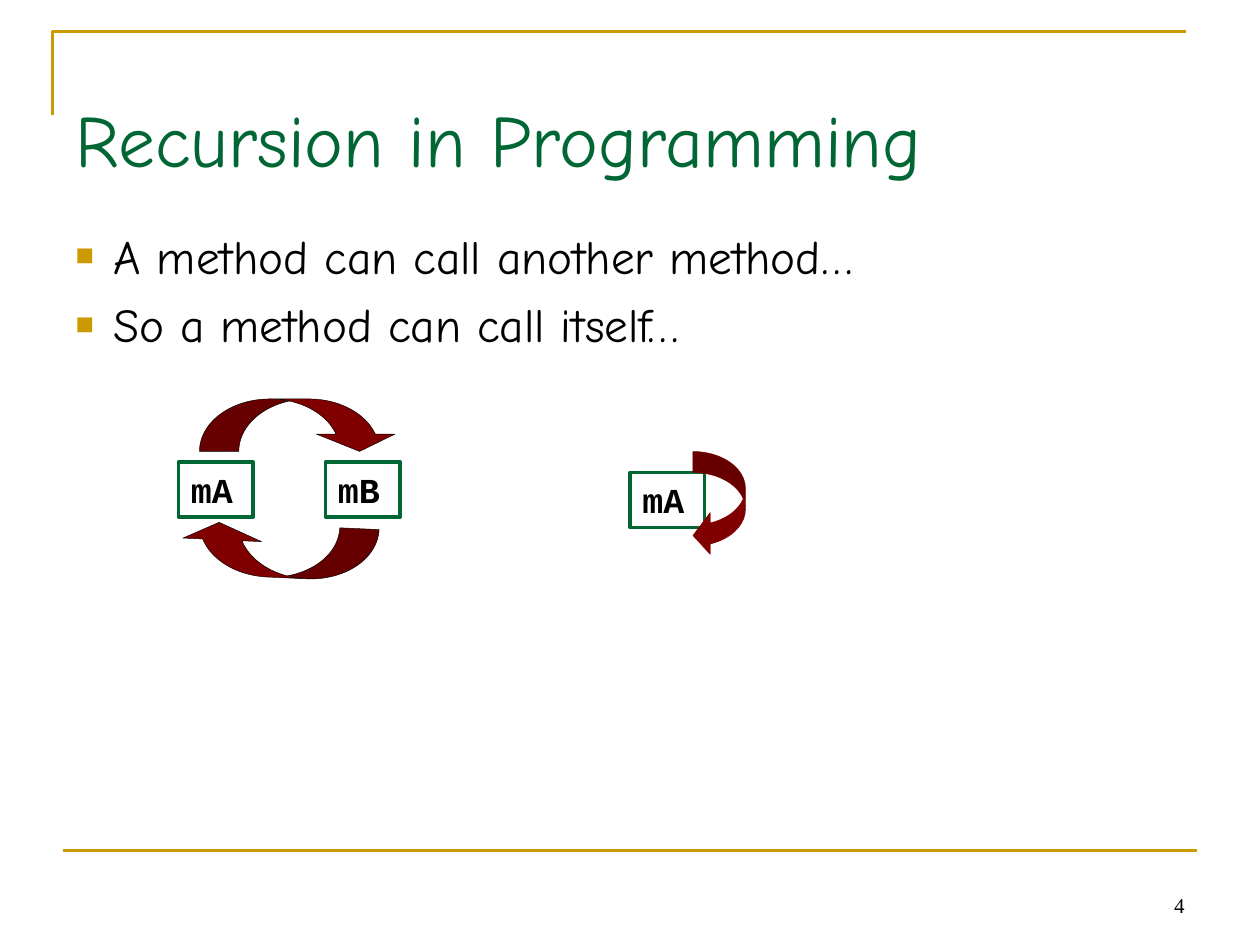
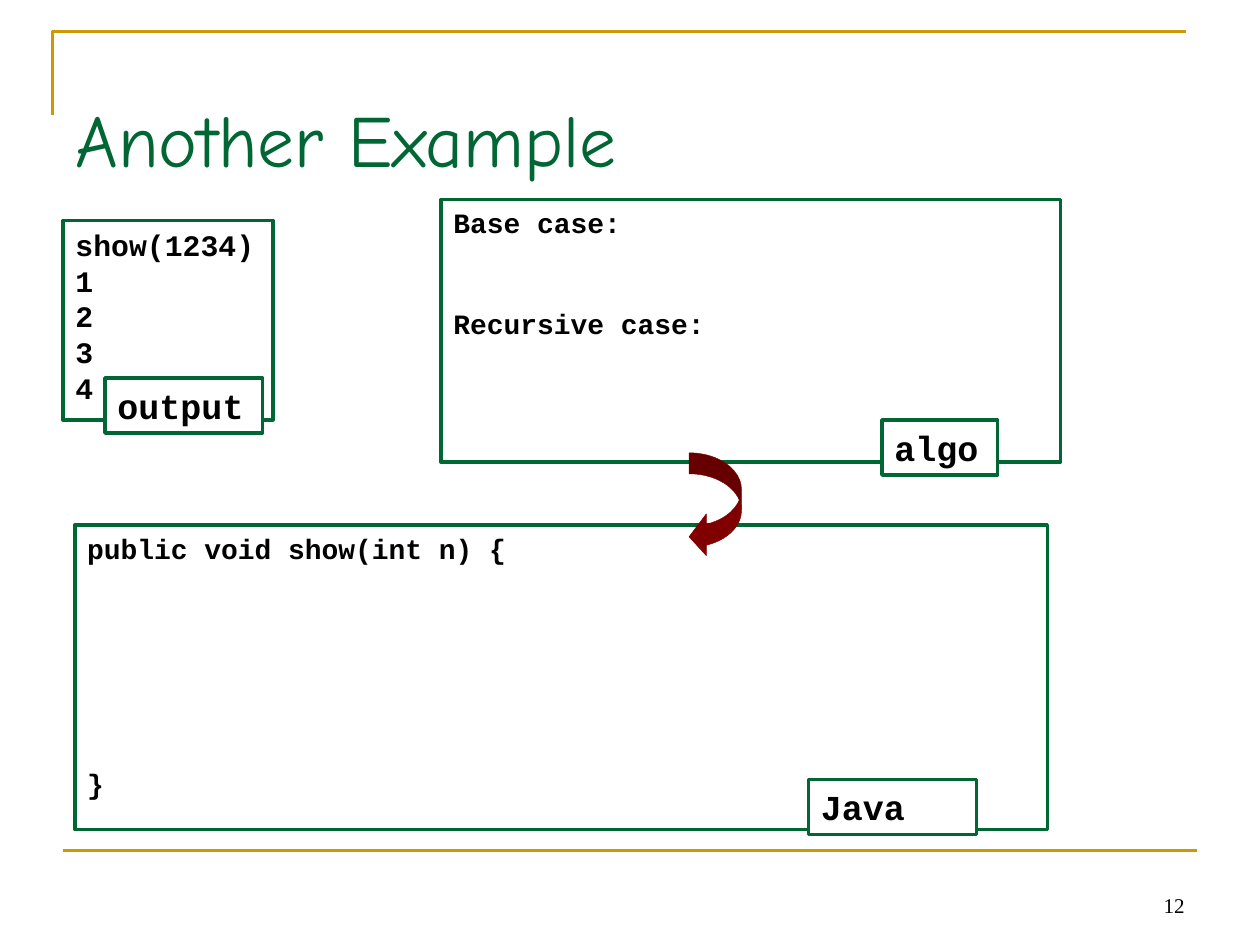
from dataclasses import dataclass

from pptx import Presentation
from pptx.dml.color import RGBColor
from pptx.enum.shapes import MSO_CONNECTOR, MSO_SHAPE
from pptx.enum.text import MSO_ANCHOR, MSO_AUTO_SIZE, PP_ALIGN
from pptx.oxml.ns import qn
from pptx.util import Pt
from lxml.etree import SubElement

PX = 9525


@dataclass(frozen=True)
class Theme:
    """Colours, fonts and type sizes of the deck."""

    gold: str = "CC9900"
    green: str = "006633"
    maroon: str = "800000"
    black: str = "000000"
    white: str = "FFFFFF"
    heading_font: str = "Comic Neue"
    code_font: str = "Courier New"
    number_font: str = "Times New Roman"
    title_size: int = 42
    body_size: int = 27
    tag_size: int = 20
    output_size: int = 17
    code_size: int = 16
    number_size: int = 12
    leading: float = 1.2
    rule_width: float = 1.5
    box_width: float = 2
    arrow_width: float = 0.25


THEME = Theme()
TAG_HEIGHT = 42


def to_emu(box):
    """Turn lengths in px into EMU."""
    return [length * PX for length in box]


def style_runs(paragraph, font_name, size, color=THEME.black, bold=False):
    """Format every run of a paragraph."""
    for run in paragraph.runs:
        run.font.name = font_name
        run.font.size = Pt(size)
        run.font.bold = bold
        run.font.color.rgb = RGBColor.from_string(color)


def style_line(line, color, width):
    """Give a line its colour and its width in points."""
    line.color.rgb = RGBColor.from_string(color)
    line.width = Pt(width)


def move_placeholder(placeholder, box, anchor):
    """Place a placeholder and fix how its text sits."""
    placeholder.left, placeholder.top, placeholder.width, placeholder.height = to_emu(box)
    placeholder.text_frame.auto_size = MSO_AUTO_SIZE.NONE
    placeholder.text_frame.vertical_anchor = anchor


def add_frame_lines(slide, master):
    """Draw the corner line and the bottom rule and put them on the master."""
    builder = slide.shapes.build_freeform(40, 88, scale=PX)
    builder.add_line_segments([(40, 24), (904, 24)], close=False)
    corner = builder.convert_to_shape()
    corner.fill.background()
    corner.shadow.inherit = False
    rule = slide.shapes.add_connector(MSO_CONNECTOR.STRAIGHT, *to_emu((48, 648, 912, 648)))
    SubElement(rule.element.spPr, qn("a:effectLst"))
    for shape_id, shape in enumerate((corner, rule), start=101):
        style_line(shape.line, THEME.gold, THEME.rule_width)
        next(shape.element.iter(qn("p:cNvPr"))).set("id", str(shape_id))
        master.shapes.element.append(shape.element)


def add_title(slide, text):
    """Fill the title placeholder."""
    title = slide.shapes.title
    move_placeholder(title, (48, 29, 864, 120), MSO_ANCHOR.BOTTOM)
    title.text_frame.margin_bottom = 10 * PX
    title.text_frame.text = text
    paragraph = title.text_frame.paragraphs[0]
    paragraph.alignment = PP_ALIGN.LEFT
    style_runs(paragraph, THEME.heading_font, THEME.title_size, THEME.green)


def add_page_number(slide, number):
    """Write the page number at the bottom right."""
    text_frame = slide.shapes.add_textbox(*to_emu((688, 656, 224, 48))).text_frame
    text_frame.word_wrap = True
    text_frame.vertical_anchor = MSO_ANCHOR.BOTTOM
    text_frame.text = str(number)
    paragraph = text_frame.paragraphs[0]
    paragraph.alignment = PP_ALIGN.RIGHT
    style_runs(paragraph, THEME.number_font, THEME.number_size)


def set_bullet(paragraph, indent):
    """Give a paragraph a hanging square bullet."""
    properties = paragraph._p.get_or_add_pPr()
    properties.set("marL", str(indent * PX))
    properties.set("indent", str(-indent * PX))
    color = SubElement(properties, qn("a:buClr"))
    SubElement(color, qn("a:srgbClr"), val=THEME.gold)
    SubElement(properties, qn("a:buSzPct"), val="65000")
    SubElement(properties, qn("a:buFont"), typeface="Arial")
    SubElement(properties, qn("a:buChar"), char="■")


def add_bullets(slide, lines):
    """Fill the body placeholder with a bulleted list."""
    body = slide.placeholders[1]
    move_placeholder(body, (48, 168, 864, 475), MSO_ANCHOR.TOP)
    body.text_frame.text = "\n".join(lines)
    for paragraph in body.text_frame.paragraphs:
        paragraph.space_before = Pt(6.8)
        paragraph.line_spacing = Pt(THEME.body_size * THEME.leading)
        set_bullet(paragraph, 29)
        style_runs(paragraph, THEME.heading_font, THEME.body_size)


def add_code_box(slide, box, lines, size, gap_lines=0, filled=False):
    """Draw a framed box of code, with gap_lines free lines between its lines."""
    shape = slide.shapes.add_shape(MSO_SHAPE.RECTANGLE, *to_emu(box))
    shape.shadow.inherit = False
    style_line(shape.line, THEME.green, THEME.box_width)
    if filled:
        shape.fill.solid()
        shape.fill.fore_color.rgb = RGBColor.from_string(THEME.white)
    else:
        shape.fill.background()
    text_frame = shape.text_frame
    text_frame.word_wrap = True
    text_frame.vertical_anchor = MSO_ANCHOR.TOP
    text_frame.text = "\n".join(lines)
    line_height = size * THEME.leading
    for index, paragraph in enumerate(text_frame.paragraphs):
        paragraph.alignment = PP_ALIGN.LEFT
        paragraph.line_spacing = Pt(line_height)
        paragraph.space_before = Pt(gap_lines * line_height if index else 0)
        style_runs(paragraph, THEME.code_font, size, bold=True)


def add_tag(slide, left, top, width, text):
    """Draw a small white label box."""
    add_code_box(slide, (left, top, width, TAG_HEIGHT), [text], THEME.tag_size, filled=True)


def add_curved_arrow(slide, kind, box, adjustments, outline, rotation=0):
    """Draw a maroon curved arrow."""
    arrow = slide.shapes.add_shape(kind, *to_emu(box))
    for index, value in enumerate(adjustments):
        arrow.adjustments[index] = value
    arrow.rotation = rotation
    arrow.shadow.inherit = False
    arrow.fill.solid()
    arrow.fill.fore_color.rgb = RGBColor.from_string(THEME.maroon)
    style_line(arrow.line, outline, THEME.arrow_width)


def add_loop_arrow(slide, left, top):
    """Draw the arrow that turns back to where it starts."""
    add_curved_arrow(slide, MSO_SHAPE.CURVED_LEFT_ARROW, (left, top, 40, 80),
                     (0.4, 0.8, 0.33), THEME.maroon)


def add_mutual_calls(slide, left, top):
    """Draw two methods that call each other."""
    arrows = ((left + 16, top, 0), (left, top + 96, 182.6))
    for arrow_left, arrow_top, rotation in arrows:
        add_curved_arrow(slide, MSO_SHAPE.CURVED_DOWN_ARROW, (arrow_left, arrow_top, 152, 40),
                         (0.75, 1.5, 0.33), THEME.black, rotation)
    for index, method in enumerate(("mA", "mB")):
        add_tag(slide, left + 112 * index, top + 48, 57, method)


def add_self_call(slide, left, top):
    """Draw a method that calls itself."""
    add_tag(slide, left, top + 16, 57, "mA")
    add_loop_arrow(slide, left + 48, top)


def start_slide(presentation, layout_index, title, number):
    """Add a slide with its title and page number."""
    slide = presentation.slides.add_slide(presentation.slide_layouts[layout_index])
    add_title(slide, title)
    add_page_number(slide, number)
    return slide


def build_recursion_slide(presentation):
    """Build the slide that introduces recursion."""
    slide = start_slide(presentation, 1, "Recursion in Programming", 4)
    add_bullets(slide, ["A method can call another method…", "So a method can call itself…"])
    add_mutual_calls(slide, 136, 304)
    add_self_call(slide, 480, 344)
    return slide


def build_example_slide(presentation):
    """Build the slide with output, algorithm and code."""
    slide = start_slide(presentation, 5, "Another Example", 12)
    add_code_box(slide, (48, 168, 160, 152), ["show(1234)", "1", "2", "3", "4"],
                 THEME.output_size)
    add_code_box(slide, (336, 152, 472, 200), ["Base case:", "Recursive case:"],
                 THEME.code_size, gap_lines=2)
    add_code_box(slide, (57, 400, 741, 232), ["public void show(int n) {", "}"],
                 THEME.code_size, gap_lines=6)
    add_tag(slide, 80, 288, 120, "output")
    add_tag(slide, 672, 320, 88, "algo")
    add_tag(slide, 616, 594, 128, "Java")
    add_loop_arrow(slide, 525, 345)


def main():
    """Build the deck and save it."""
    presentation = Presentation()
    presentation.slide_width, presentation.slide_height = to_emu((960, 720))
    recursion_slide = build_recursion_slide(presentation)
    add_frame_lines(recursion_slide, presentation.slide_master)
    build_example_slide(presentation)
    presentation.save("out.pptx")


if __name__ == "__main__":
    main()
